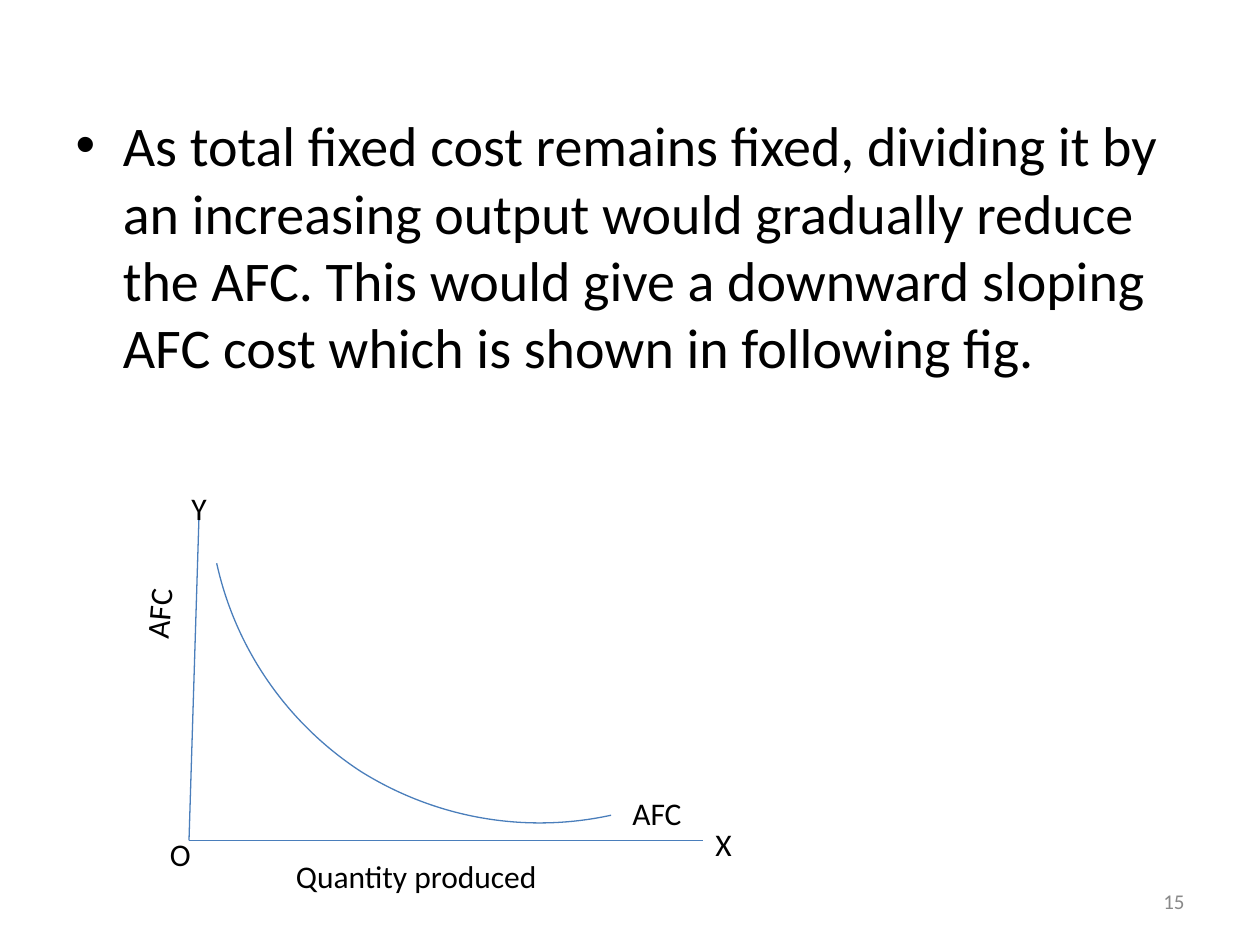
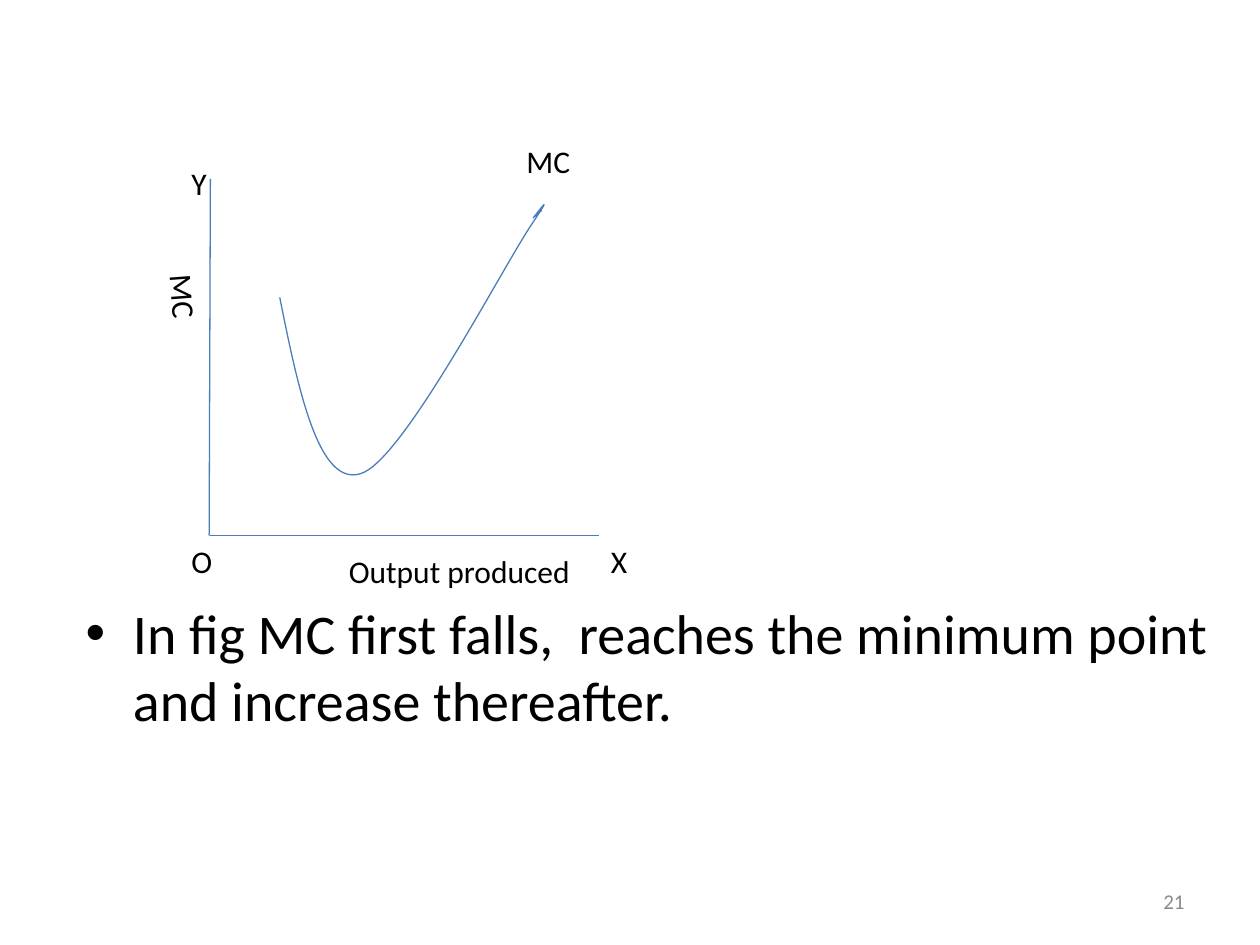
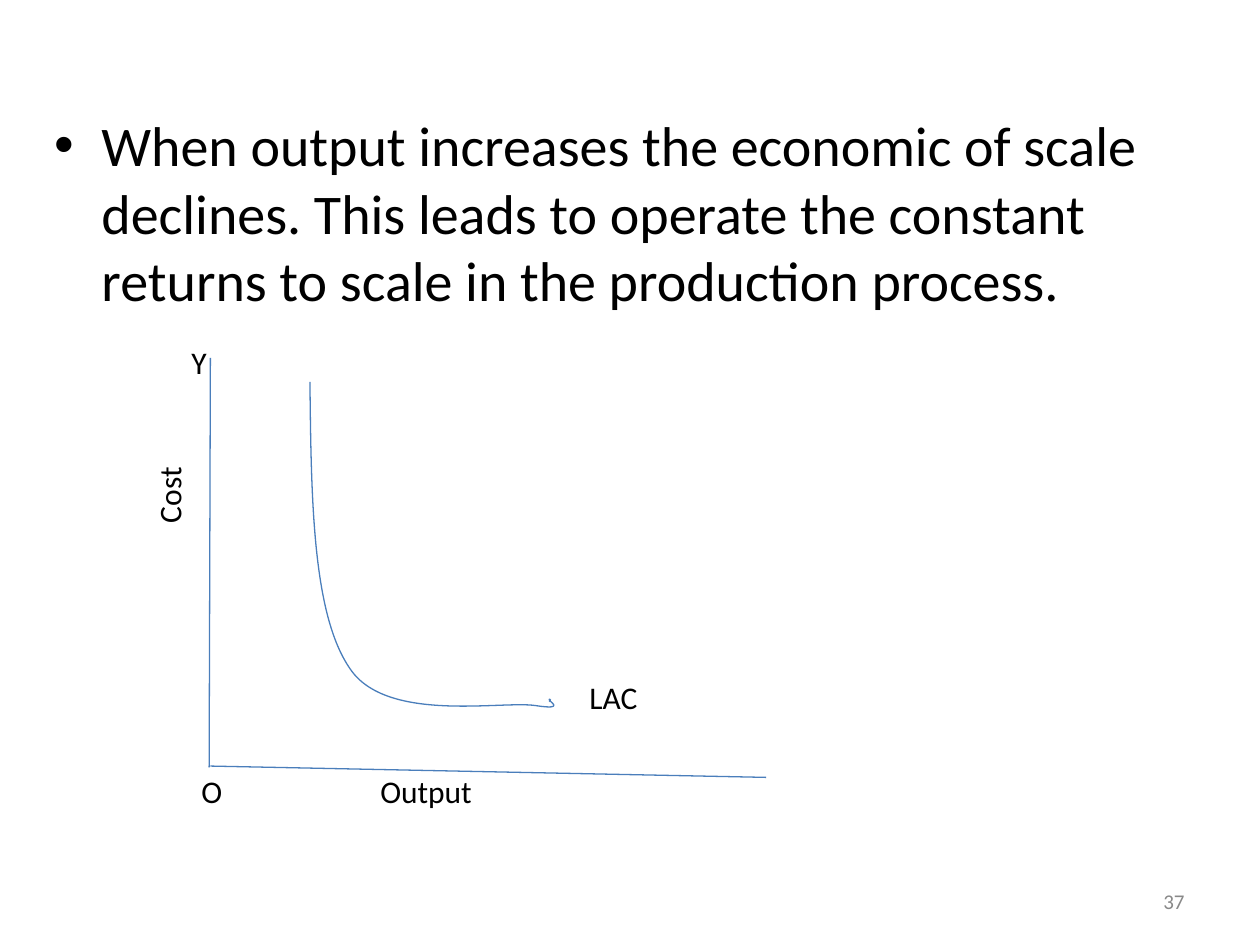
from lxml import etree
from pptx import Presentation
from pptx.dml.color import RGBColor
from pptx.enum.shapes import MSO_CONNECTOR
from pptx.enum.text import MSO_ANCHOR, MSO_AUTO_SIZE, PP_ALIGN
from pptx.oxml.ns import qn
from pptx.util import Inches, Pt

STRAIGHT = MSO_CONNECTOR.STRAIGHT
TOP, MIDDLE = MSO_ANCHOR.TOP, MSO_ANCHOR.MIDDLE
LEFT, RIGHT = PP_ALIGN.LEFT, PP_ALIGN.RIGHT
NO_AUTOFIT = MSO_AUTO_SIZE.NONE

COLORS = {"text": "000000", "page": "898989", "line": "4A7EBB"}
FONT = "Calibri"
LINE_WIDTH = 0.75
LABEL_HEIGHT = 0.4
TITLE_AND_CONTENT = 1

STYLES = {
    "body": {"size": 32, "color": "text", "align": LEFT, "anchor": TOP},
    "label": {"size": 18, "color": "text", "align": LEFT, "anchor": TOP},
    "page": {"size": 12, "color": "page", "align": RIGHT, "anchor": MIDDLE},
}

# Labels are (text, left, top, width, rotation). A curve is a start point
# followed by Bezier points, three for each segment.
SLIDES = [
    {
        "page": "15",
        "body": "As total fixed cost remains fixed, dividing it by an increasing "
                "output would gradually reduce the AFC. This would give a downward "
                "sloping AFC cost which is shown in following fig.",
        "body_box": (0.5, 0.83, 9.08, 6.25),
        "axes": [((1.58, 4.08), (1.5, 6.67)), ((1.5, 6.67), (5.58, 6.67))],
        "curve": [(4.85, 6.47),
                  (4.16, 6.62), (3.45, 6.49), (2.86, 6.12),
                  (2.28, 5.74), (1.87, 5.15), (1.72, 4.47)],
        "labels": [
            ("AFC", 4.92, 6.25, 0.92, 0),
            ("O", 1.25, 6.58, 0.45, 0),
            ("Y", 1.42, 3.83, 0.45, 0),
            ("X", 5.58, 6.5, 0.5, 0),
            ("Quantity produced", 2.25, 6.75, 2.5, 0),
            ("AFC", 0.65, 4.33, 1.27, 274.8),
        ],
    },
    {
        "page": "21",
        "body": "In fig MC first falls,  reaches the minimum point and increase "
                "thereafter.",
        "body_box": (0.58, 4.7, 9.17, 2.21),
        "axes": [((1.67, 1.42), (1.66, 4.25)), ((1.67, 4.25), (4.75, 4.25))],
        "curve": [(2.22, 2.36),
                  (2.37, 3.11), (2.53, 3.86), (2.86, 3.76),
                  (3.19, 3.67), (3.99, 2.12), (4.22, 1.78),
                  (4.44, 1.45), (4.22, 1.75), (4.23, 1.73),
                  (4.25, 1.71), (4.3, 1.67), (4.3, 1.67)],
        "labels": [
            ("MC", 4.08, 1.08, 2.67, 0),
            ("O", 1.42, 4.25, 0.5, 0),
            ("Y", 1.42, 1.25, 0.45, 0),
            ("X", 4.75, 4.25, 0.42, 0),
            ("Output produced", 2.67, 4.33, 2.45, 0),
            ("MC", 1.17, 2.17, 0.58, 85.7),
        ],
    },
    {
        "page": "37",
        "body": "When output increases the economic of scale declines. This leads "
                "to operate the constant returns to scale in the production process.",
        "body_box": (0.33, 0.83, 9.17, 5.87),
        "axes": [((1.67, 2.84), (1.66, 6.09)), ((1.67, 6.08), (6.08, 6.17))],
        "curve": [(2.46, 3.03),
                  (2.47, 3.96), (2.48, 4.88), (2.78, 5.31),
                  (3.07, 5.74), (3.98, 5.56), (4.25, 5.6),
                  (4.51, 5.64), (4.34, 5.56), (4.36, 5.55),
                  (4.38, 5.55), (4.36, 5.57), (4.36, 5.57)],
        "labels": [
            ("LAC", 4.58, 5.33, 0.58, 0),
            ("O", 1.5, 6.08, 0.37, 0),
            ("Y", 1.42, 2.67, 0.49, 0),
            ("Cost", 0.68, 3.39, 1.32, 270),
            ("Output", 2.92, 6.08, 3.33, 0),
        ],
    },
]


def rgb(name):
    return RGBColor.from_string(COLORS[name])


def write_text(shape, text, style_name):
    style = STYLES[style_name]
    frame = shape.text_frame
    frame_format = {"word_wrap": True, "auto_size": NO_AUTOFIT,
                    "vertical_anchor": style["anchor"]}
    for name, value in frame_format.items():
        setattr(frame, name, value)
    paragraph = frame.paragraphs[0]
    paragraph.alignment = style["align"]
    paragraph.space_before = Pt(0)
    run = paragraph.add_run()
    run.text = text
    for name, value in {"name": FONT, "size": Pt(style["size"])}.items():
        setattr(run.font, name, value)
    run.font.color.rgb = rgb(style["color"])


def add_body(slide, text, box):
    body = slide.placeholders[1]
    for name, value in zip(("left", "top", "width", "height"), box):
        setattr(body, name, Inches(value))
    write_text(body, text, "body")


def add_label(slide, text, left, top, width, rotation=0, style_name="label"):
    box = slide.shapes.add_textbox(
        Inches(left), Inches(top), Inches(width), Inches(LABEL_HEIGHT))
    box.rotation = rotation
    write_text(box, text, style_name)


def format_line(shape):
    shape.line.color.rgb = rgb("line")
    shape.line.width = Pt(LINE_WIDTH)


def add_axis(slide, start, end):
    axis = slide.shapes.add_connector(
        STRAIGHT, *(Inches(value) for value in (*start, *end)))
    format_line(axis)
    etree.SubElement(axis._element.spPr, qn("a:effectLst"))


def add_curve(slide, points):
    """Build an open outline and join each three points into a Bezier segment."""
    start, *controls = [(Inches(x), Inches(y)) for x, y in points]
    builder = slide.shapes.build_freeform(*start)
    builder.add_line_segments(controls, close=False)
    curve = builder.convert_to_shape()
    curve.shadow.inherit = False
    curve.fill.background()
    format_line(curve)

    outline = next(curve._element.iter(qn("a:path")))
    lines = outline.findall(qn("a:lnTo"))
    for index in range(0, len(lines), 3):
        segment = etree.SubElement(outline, qn("a:cubicBezTo"))
        for line in lines[index:index + 3]:
            segment.append(line[0])
            outline.remove(line)


def add_cost_slide(presentation, content):
    layout = presentation.slide_layouts[TITLE_AND_CONTENT]
    slide = presentation.slides.add_slide(layout)
    title = slide.shapes.title._element
    title.getparent().remove(title)
    add_body(slide, content["body"], content["body_box"])
    add_label(slide, content["page"], 7.17, 6.95, 2.33, style_name="page")
    for start, end in content["axes"]:
        add_axis(slide, start, end)
    add_curve(slide, content["curve"])
    for label in content["labels"]:
        add_label(slide, *label)


def main():
    presentation = Presentation()
    presentation.slide_width = Inches(10)
    presentation.slide_height = Inches(7.5)
    for content in SLIDES:
        add_cost_slide(presentation, content)
    presentation.save("out.pptx")


if __name__ == "__main__":
    main()
